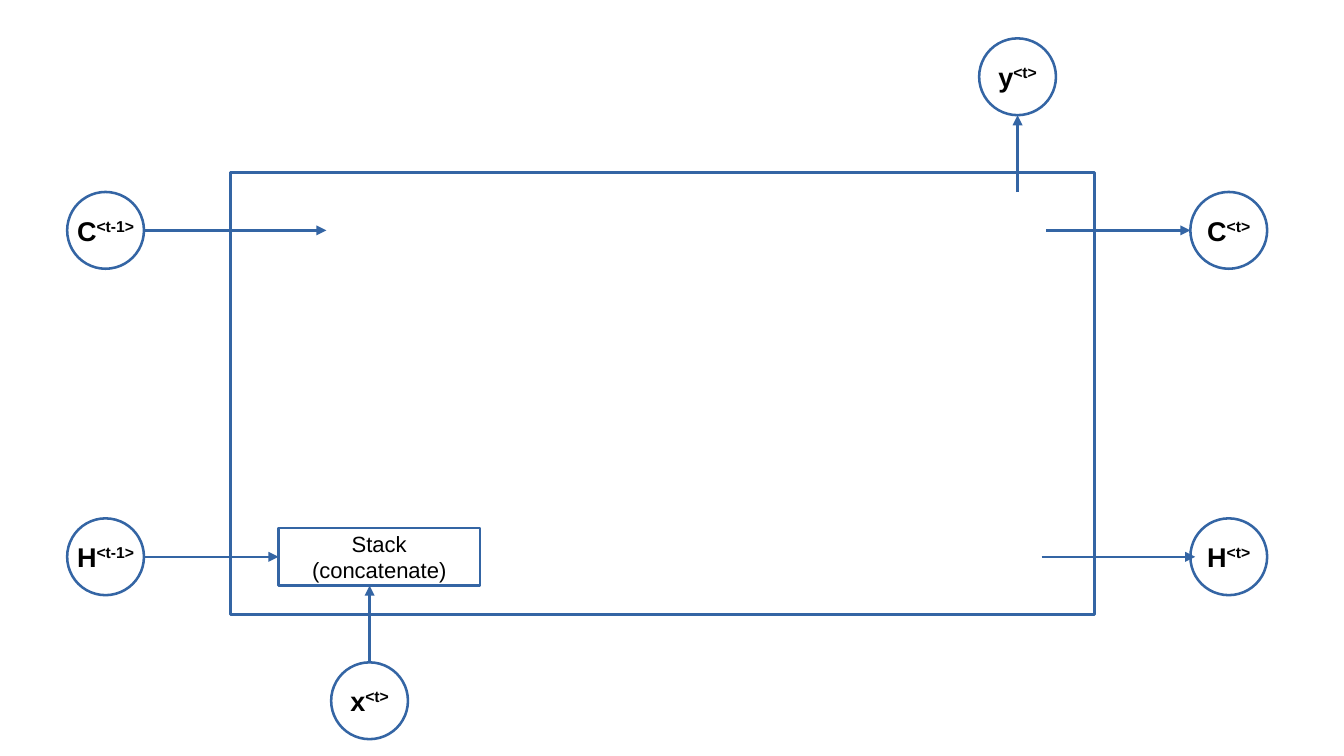
from dataclasses import dataclass

from lxml.etree import SubElement
from pptx import Presentation
from pptx.dml.color import RGBColor
from pptx.enum.shapes import MSO_CONNECTOR as Connector, MSO_SHAPE as Shape
from pptx.enum.text import MSO_ANCHOR as Anchor, PP_ALIGN as Align
from pptx.oxml.ns import qn
from pptx.util import Cm, Pt


@dataclass(frozen=True)
class Theme:
    line: RGBColor = RGBColor(0x34, 0x65, 0xA4)
    text: RGBColor = RGBColor(0, 0, 0)
    font: str = "Arial"
    state_size: float = 16
    step_size: float = 13
    line_width: float = 1.5


def add_span(para, text, *, theme, size, bold=False, raised=False):
    span = para.add_run()
    span.text = text
    span.font.name = theme.font
    span.font.size = Pt(size)
    span.font.bold = bold
    span.font.color.rgb = theme.text
    if raised:
        span._r.get_or_add_rPr().set("baseline", "33000")


class Diagram:
    """Draws the cell on one page; all lengths are centimetres."""

    def __init__(self, page, theme):
        self.page = page
        self.theme = theme

    def style_line(self, line):
        line.color.rgb = self.theme.line
        line.width = Pt(self.theme.line_width)

    def outline(self, kind, left, top, width, height):
        box = self.page.shapes.add_shape(
            kind, Cm(left), Cm(top), Cm(width), Cm(height))
        box.shadow.inherit = False
        box.fill.background()
        self.style_line(box.line)
        frame = box.text_frame
        frame.word_wrap = False
        frame.vertical_anchor = Anchor.MIDDLE
        frame.margin_left = frame.margin_right = Cm(0.28)
        frame.margin_top = frame.margin_bottom = Cm(0.15)
        return box

    def step(self, lines, left, top, width, height):
        box = self.outline(Shape.RECTANGLE, left, top, width, height)
        frame = box.text_frame
        for index, text in enumerate(lines):
            para = frame.add_paragraph() if index else frame.paragraphs[0]
            para.alignment = Align.CENTER
            add_span(para, text, theme=self.theme, size=self.theme.step_size)
        return box

    def state(self, name, time, center_x, center_y, diameter=1.6):
        radius = diameter / 2
        circle = self.outline(Shape.OVAL, center_x - radius, center_y - radius,
                              diameter, diameter)
        para = circle.text_frame.paragraphs[0]
        para.alignment = Align.CENTER
        for text, raised in ((name, False), (time, True)):
            add_span(para, text, theme=self.theme, size=self.theme.state_size,
                     bold=True, raised=raised)

    def arrow(self, start_x, start_y, end_x, end_y):
        arrow = self.page.shapes.add_connector(
            Connector.STRAIGHT, Cm(start_x), Cm(start_y), Cm(end_x), Cm(end_y))
        self.style_line(arrow.line)
        SubElement(arrow.line._get_or_add_ln(), qn("a:tailEnd"), type="triangle")
        SubElement(arrow._element.spPr, qn("a:effectLst"))
        return arrow


def main():
    deck = Presentation()
    deck.slide_width, deck.slide_height = Cm(28), Cm(15.75)
    page = deck.slides.add_slide(deck.slide_layouts[6])
    diagram = Diagram(page, Theme())

    left_x, right_x = 2.2, 25.6
    cell_y, hidden_y = 4.8, 11.6
    input_x, output_x = 7.7, 21.2

    # Cell frame and its first step
    diagram.outline(Shape.RECTANGLE, 4.8, 3.6, 18, 9.2)
    stack = diagram.step(["Stack", "(concatenate)"], 5.8, 11, 4.2, 1.2)

    # States entering and leaving the cell
    for name, center_y in (("C", cell_y), ("H", hidden_y)):
        diagram.state(name, "<t-1>", left_x, center_y)
        diagram.state(name, "<t>", right_x, center_y)
    diagram.state("x", "<t>", input_x, 14.6)
    diagram.state("y", "<t>", output_x, 1.6)

    # Flow through the cell
    diagram.arrow(3, cell_y, 6.8, cell_y)
    diagram.arrow(21.8, cell_y, 24.8, cell_y)
    diagram.arrow(3, hidden_y, 5.8, hidden_y).end_connect(stack, 1)
    diagram.arrow(21.7, hidden_y, 24.9, hidden_y)
    diagram.arrow(input_x, 13.8, input_x, 12.2)
    diagram.arrow(output_x, 4, output_x, 2.4)

    deck.save("out.pptx")


if __name__ == "__main__":
    main()
